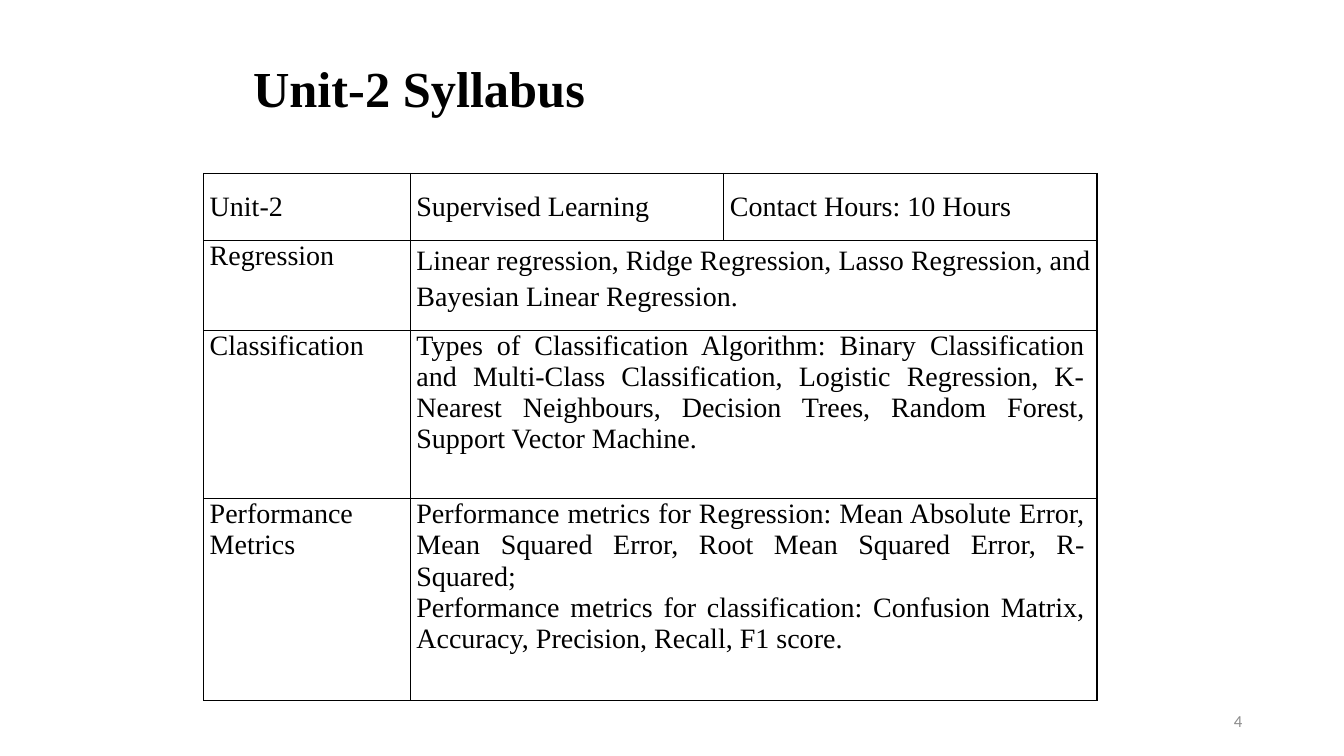
from lxml.etree import SubElement
from pptx import Presentation
from pptx.dml.color import RGBColor
from pptx.enum.text import MSO_ANCHOR, MSO_AUTO_SIZE, PP_ALIGN
from pptx.oxml.ns import qn
from pptx.util import Inches, Pt

COLORS = {"ink": "000000", "page_number": "8C8C8C"}
SERIF = "Times New Roman"

COLUMN_WIDTHS = [2.05, 3.11, 3.7]
ROW_HEIGHTS = [0.67, 0.89, 1.67, 2]
HEADINGS = ["Unit-2", "Supervised Learning", "Contact Hours: 10 Hours"]
TOPICS = [
    ("Regression", [
        "Linear regression, Ridge Regression, Lasso Regression, and "
        "Bayesian Linear Regression."]),
    ("Classification", [
        "Types of Classification Algorithm: Binary Classification and "
        "Multi-Class Classification, Logistic Regression, K-Nearest "
        "Neighbours, Decision Trees, Random Forest, Support Vector Machine."]),
    ("Performance Metrics", [
        "Performance metrics for Regression: Mean Absolute Error, Mean "
        "Squared Error, Root Mean Squared Error, R-Squared;",
        "Performance metrics for classification: Confusion Matrix, "
        "Accuracy, Precision, Recall, F1 score."]),
]


def style_runs(paragraph, size, font_name, color, bold=False):
    for run in paragraph.runs:
        run.font.size = Pt(size)
        run.font.name = font_name
        run.font.bold = bold
        run.font.color.rgb = RGBColor.from_string(COLORS[color])


def place(shape, left, top, width, height):
    shape.left, shape.top = Inches(left), Inches(top)
    shape.width, shape.height = Inches(width), Inches(height)


def add_title(slide, box):
    title = slide.shapes.title
    place(title, *box)
    frame = title.text_frame
    frame.text = "Unit-2 Syllabus"
    frame.auto_size = MSO_AUTO_SIZE.NONE
    frame.vertical_anchor = MSO_ANCHOR.TOP
    heading = frame.paragraphs[0]
    heading.alignment = PP_ALIGN.LEFT
    style_runs(heading, 36, SERIF, "ink", bold=True)


def format_cell(cell):
    # Borders go in ahead of the fill, as the schema requires
    properties = cell._tc.get_or_add_tcPr()
    for side in ("a:lnL", "a:lnR", "a:lnT", "a:lnB"):
        border = SubElement(properties, qn(side), w=str(Pt(1)))
        fill = SubElement(border, qn("a:solidFill"))
        SubElement(fill, qn("a:srgbClr"), val=COLORS["ink"])
    cell.fill.background()
    cell.margin_left = cell.margin_right = Inches(0.06)
    cell.margin_top = cell.margin_bottom = 0


def fill_cell(cell, lines, anchor=MSO_ANCHOR.TOP):
    cell.vertical_anchor = anchor
    cell.text_frame.text = "\n".join(lines)
    for paragraph in cell.text_frame.paragraphs:
        paragraph.alignment = PP_ALIGN.JUSTIFY
        style_runs(paragraph, 20, SERIF, "ink")


def add_syllabus(slide, left, top):
    syllabus = slide.shapes.add_table(
        len(ROW_HEIGHTS), len(COLUMN_WIDTHS), Inches(left), Inches(top),
        Inches(sum(COLUMN_WIDTHS)), Inches(sum(ROW_HEIGHTS))).table
    syllabus.first_row = syllabus.horz_banding = False
    for column, width in zip(syllabus.columns, COLUMN_WIDTHS):
        column.width = Inches(width)
    for row, height in zip(syllabus.rows, ROW_HEIGHTS):
        row.height = Inches(height)
    for cell in syllabus.iter_cells():
        format_cell(cell)

    # Heading row
    for index, heading in enumerate(HEADINGS):
        fill_cell(syllabus.cell(0, index), [heading], MSO_ANCHOR.MIDDLE)

    # Topic rows, each with a merged description
    for index, (topic, description) in enumerate(TOPICS, start=1):
        fill_cell(syllabus.cell(index, 0), [topic])
        details = syllabus.cell(index, 1)
        details.merge(syllabus.cell(index, 2))
        fill_cell(details, description)
        for paragraph in details.text_frame.paragraphs:
            if topic == "Regression":
                paragraph.line_spacing = 1.15
                paragraph.space_after = Pt(8)
            else:
                paragraph._p.get_or_add_pPr().set("marR", str(Inches(0.06)))


def add_page_number(slide, box):
    page_number = slide.shapes.add_textbox(*map(Inches, box))
    frame = page_number.text_frame
    frame.word_wrap = True
    frame.vertical_anchor = MSO_ANCHOR.MIDDLE
    frame.text = "4"
    frame.paragraphs[0].alignment = PP_ALIGN.RIGHT
    style_runs(frame.paragraphs[0], 12, "Calibri", "page_number")


def main():
    deck = Presentation()
    deck.slide_width, deck.slide_height = Inches(13.33), Inches(7.5)
    slide = deck.slides.add_slide(deck.slide_layouts.get_by_name("Title Only"))
    add_page_number(slide, (9.42, 6.95, 3, 0.4))
    add_syllabus(slide, 2.02, 1.72)
    add_title(slide, (2.41, 0.52, 8.19, 0.71))
    deck.save("out.pptx")


if __name__ == "__main__":
    main()
